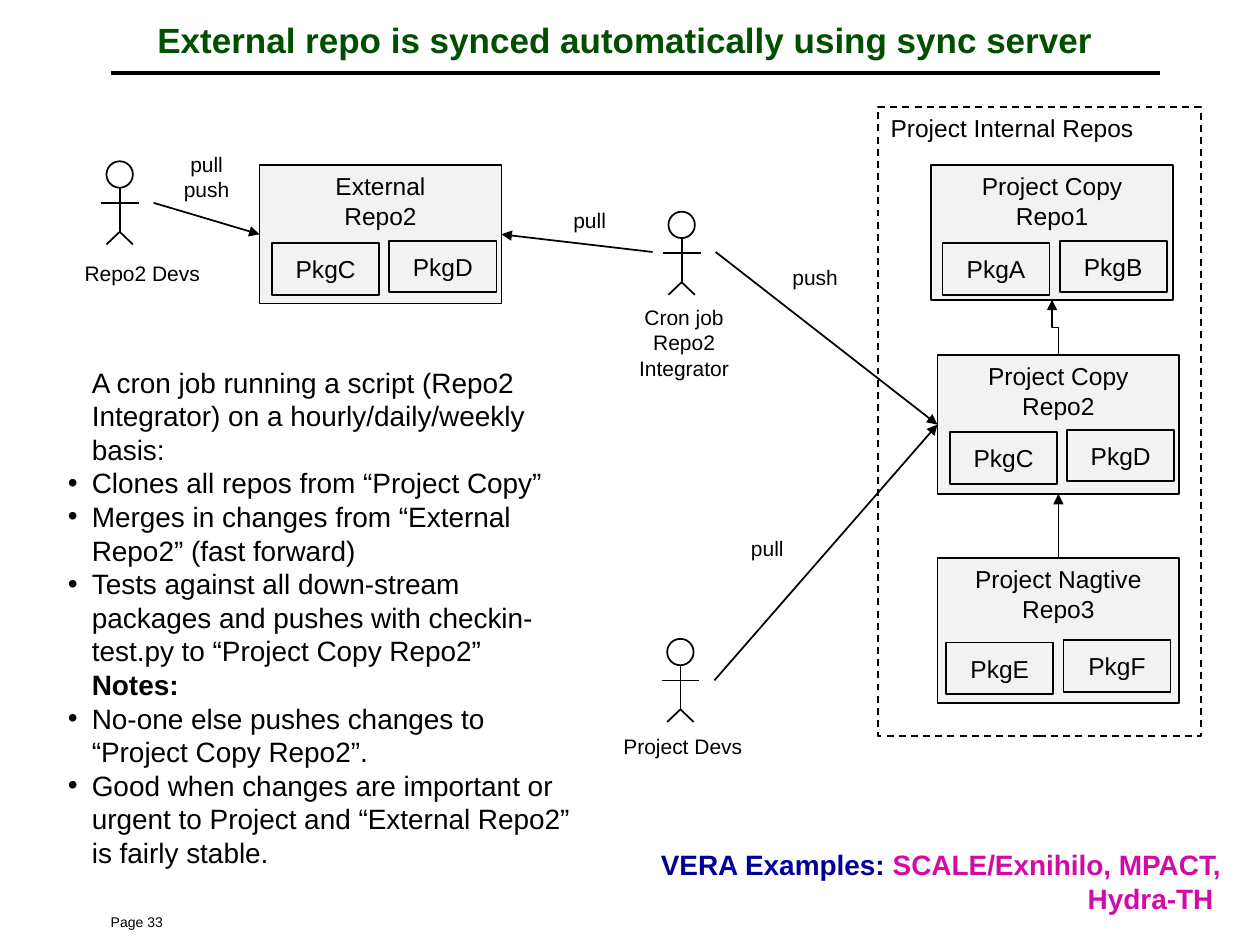
"""Builds the slide on syncing an external repo through a sync server."""
import pptx
import pptx.dml.color
import pptx.enum.dml
import pptx.enum.shapes
import pptx.enum.text
import pptx.oxml
import pptx.oxml.ns
import pptx.util

COLUMNS, ROWS = 100, 75
CELL = pptx.util.Inches(0.1)
BLACK, BOX_GREY = "000000", "F2F2F2"
ALIGN = pptx.enum.text.PP_ALIGN
ANCHOR = pptx.enum.text.MSO_ANCHOR
SHAPE = pptx.enum.shapes.MSO_SHAPE
CONNECTOR = pptx.enum.shapes.MSO_CONNECTOR
TOP, LEFT, BOTTOM, RIGHT = range(4)


def cells(*counts):
    """Turn grid counts into slide lengths."""
    return [round(count * CELL) for count in counts]


def colour(hex_text):
    """Turn a hex string into a colour."""
    return pptx.dml.color.RGBColor.from_string(hex_text)


def apply(target, values):
    """Set each attribute named in a dict of format values."""
    for name, value in values.items():
        setattr(target, name, value)


def add_xml(parent, tag, **attributes):
    """Append a drawing element with the given attributes."""
    element = pptx.oxml.parse_xml(f"<a:{tag} {pptx.oxml.ns.nsdecls('a')}/>")
    for name, value in attributes.items():
        element.set(name, value)
    parent.append(element)


def write(frame, paragraphs, size, align=ALIGN.CENTER, anchor=ANCHOR.TOP):
    """Fill a text frame; a paragraph is a string or a list of (text, hex, bold) runs."""
    apply(frame, {"word_wrap": True, "vertical_anchor": anchor})
    for number, content in enumerate(paragraphs):
        paragraph = frame.add_paragraph() if number else frame.paragraphs[0]
        paragraph.alignment = align
        runs = [(content, BLACK, False)] if isinstance(content, str) else content
        for text, hex_text, bold in runs:
            run = paragraph.add_run()
            run.text = text
            apply(run.font, {"name": "Arial", "size": pptx.util.Pt(size), "bold": bold})
            run.font.color.rgb = colour(hex_text)


def add_text(slide, place, paragraphs, size, **layout):
    """Add a text box and return its frame."""
    frame = slide.shapes.add_textbox(*cells(*place)).text_frame
    write(frame, paragraphs, size, **layout)
    return frame


def style_line(line, width=1):
    """Give a line its black colour and width."""
    line.color.rgb = colour(BLACK)
    line.width = pptx.util.Pt(width)


def add_outline(shapes, kind, place, fill=None):
    """Add a black-edged shape, hollow unless a fill is given."""
    shape = shapes.add_shape(kind, *cells(*place))
    shape.shadow.inherit = False
    style_line(shape.line)
    if fill:
        shape.fill.solid()
        shape.fill.fore_color.rgb = colour(fill)
    else:
        shape.fill.background()
    return shape


def add_line(shapes, ends, width=1, kind=CONNECTOR.STRAIGHT, arrow=False):
    """Add a connector, with an arrowhead at its end if asked."""
    line = shapes.add_connector(kind, *cells(*ends))
    style_line(line.line, width)
    add_xml(line._element.spPr, "effectLst")
    if arrow:
        add_xml(line.line._get_or_add_ln(), "tailEnd", type="triangle")
    return line


def add_arrow(slide, start, target, side):
    """Point a straight arrow from a grid point at one side of a repo."""
    arrow = add_line(slide.shapes, (*start, *start), arrow=True)
    arrow.end_connect(target, side)


def add_bent_arrow(slide, lower, upper):
    """Run an elbow arrow up from one repo to the repo above."""
    arrow = add_line(slide.shapes, (0, 0, 0, 0), kind=CONNECTOR.ELBOW, arrow=True)
    arrow.begin_connect(lower, TOP)
    arrow.end_connect(upper, BOTTOM)
    rise, shift = arrow.begin_y - arrow.end_y, arrow.begin_x - arrow.end_x
    middle_x = (arrow.begin_x + arrow.end_x) // 2
    middle_y = (arrow.begin_y + arrow.end_y) // 2
    apply(arrow, {"left": middle_x - rise // 2, "top": middle_y - shift // 2,
                  "width": rise, "height": shift})
    turn = arrow._element.spPr.xfrm
    apply(turn, {"rot": 270, "flipH": False, "flipV": True})


def add_repo(slide, place, title, packages, inset):
    """Add a repo box holding two package boxes side by side."""
    repo = add_outline(slide.shapes, SHAPE.RECTANGLE, place, BOX_GREY)
    write(repo.text_frame, title, 14)
    for number, name in enumerate(packages):
        left = place[0] + inset[0] + 9.3 * number
        top = place[1] + inset[1] - 0.2 * number
        package = add_outline(slide.shapes, SHAPE.RECTANGLE, (left, top, 8.5, 4.1), BOX_GREY)
        write(package.text_frame, [name], 14, anchor=ANCHOR.MIDDLE)
    return repo


def add_person(slide, x, y):
    """Draw a stick figure whose head is centred on x with its top at y."""
    person = slide.shapes.add_group_shape().shapes
    add_outline(person, SHAPE.OVAL, (x - 1.05, y, 2.1, 2.1))
    hip, foot = y + 5.6, y + 6.6
    limbs = [(x, y + 2.1, x, hip), (x - 1.5, y + 3.3, x + 1.5, y + 3.3),
             (x, hip, x - 1.05, foot), (x, hip, x + 1.05, foot)]
    for limb in limbs:
        add_line(person, limb)


def add_explanation(slide):
    """Add the bulleted account of the cron job."""
    paragraphs = [
        "A cron job running a script (Repo2 Integrator) on a hourly/daily/weekly basis:",
        "Clones all repos from “Project Copy”",
        "Merges in changes from “External Repo2” (fast forward)",
        "Tests against all down-stream packages and pushes with checkin-test.py to “Project Copy Repo2”",
        [("Notes:", BLACK, True)],
        "No-one else pushes changes to “Project Copy Repo2”.",
        "Good when changes are important or urgent to Project and “External Repo2” is fairly stable.",
    ]
    frame = add_text(slide, (4.4, 28.5, 42.5, 41), paragraphs, 16, align=ALIGN.LEFT)
    hang = pptx.util.Inches(0.19)
    for paragraph in frame.paragraphs:
        properties = paragraph._p.get_or_add_pPr()
        properties.set("marL", str(hang))
        if not paragraph.text.endswith(":"):
            properties.set("indent", str(-hang))
            add_xml(properties, "buFont", typeface="Arial")
            add_xml(properties, "buChar", char="•")


def main():
    """Build and save the slide."""
    deck = pptx.Presentation()
    apply(deck, {"slide_width": COLUMNS * CELL, "slide_height": ROWS * CELL})
    slide = deck.slides.add_slide(deck.slide_layouts[6])

    add_line(slide.shapes, (8.8, 5.8, 92.1, 5.8), width=3 - 1)
    add_text(slide, (7.8, 72, 20.8, 2.2), ["Page 33"], 8, align=ALIGN.LEFT)
    title = "External repo is synced automatically using sync server "
    add_text(slide, (7.5, 1, 85, 4.2), [[(title, "004E00", True)]], 20, anchor=ANCHOR.MIDDLE)

    external = add_repo(slide, (20.6, 13.1, 19.2, 11), ["External", "Repo2"],
                        ["PkgC", "PkgD"], (1, 6.2))
    native = add_repo(slide, (74.4, 44.3, 19.2, 11.5), ["Project Nagtive", "Repo3"],
                      ["PkgE", "PkgF"], (0.7, 6.7))
    first_copy = add_repo(slide, (73.9, 13.1, 19.2, 10.7), ["Project Copy", "Repo1"],
                          ["PkgA", "PkgB"], (0.9, 6.2))
    second_copy = add_repo(slide, (74.4, 28.2, 19.2, 11), ["Project Copy", "Repo2"],
                           ["PkgC", "PkgD"], (1, 6.1))
    internal = add_outline(slide.shapes, SHAPE.RECTANGLE, (69.7, 8.5, 25.6, 49.9))
    internal.line.dash_style = pptx.enum.dml.MSO_LINE.DASH
    write(internal.text_frame, ["Project Internal Repos"], 14, align=ALIGN.LEFT)

    add_bent_arrow(slide, second_copy, first_copy)
    add_bent_arrow(slide, native, second_copy)
    add_arrow(slide, (12.2, 16.1), external, LEFT)
    add_arrow(slide, (51.8, 20), external, RIGHT)
    add_arrow(slide, (56.8, 20), second_copy, LEFT)
    add_arrow(slide, (56.7, 54), second_copy, LEFT)

    for x, y in [(9.5, 12.8), (54.1, 16.8), (54, 50.7)]:
        add_person(slide, x, y)
    labels = [
        (4.6, 20.2, ["Repo2 Devs"]), (47.6, 23.7, ["Cron job", "Repo2 Integrator"]),
        (47.5, 57.7, ["Project Devs"]), (9.7, 11.5, ["pull", "push"]),
        (40.1, 16, ["pull"]), (58, 20.5, ["push"]), (54.2, 42, ["pull"]),
    ]
    for left, top, lines in labels:
        add_text(slide, (left, top, 13.4, 1 + 2 * len(lines)), lines, 12)

    add_explanation(slide)
    examples = [("VERA Examples: ", "000099", True),
                ("SCALE/Exnihilo, MPACT, Hydra-TH ", "D30AA5", True)]
    add_text(slide, (49.2, 66.8, 48.7, 6.4), [examples], 16, align=ALIGN.RIGHT)
    deck.save("out.pptx")


if __name__ == "__main__":
    main()
